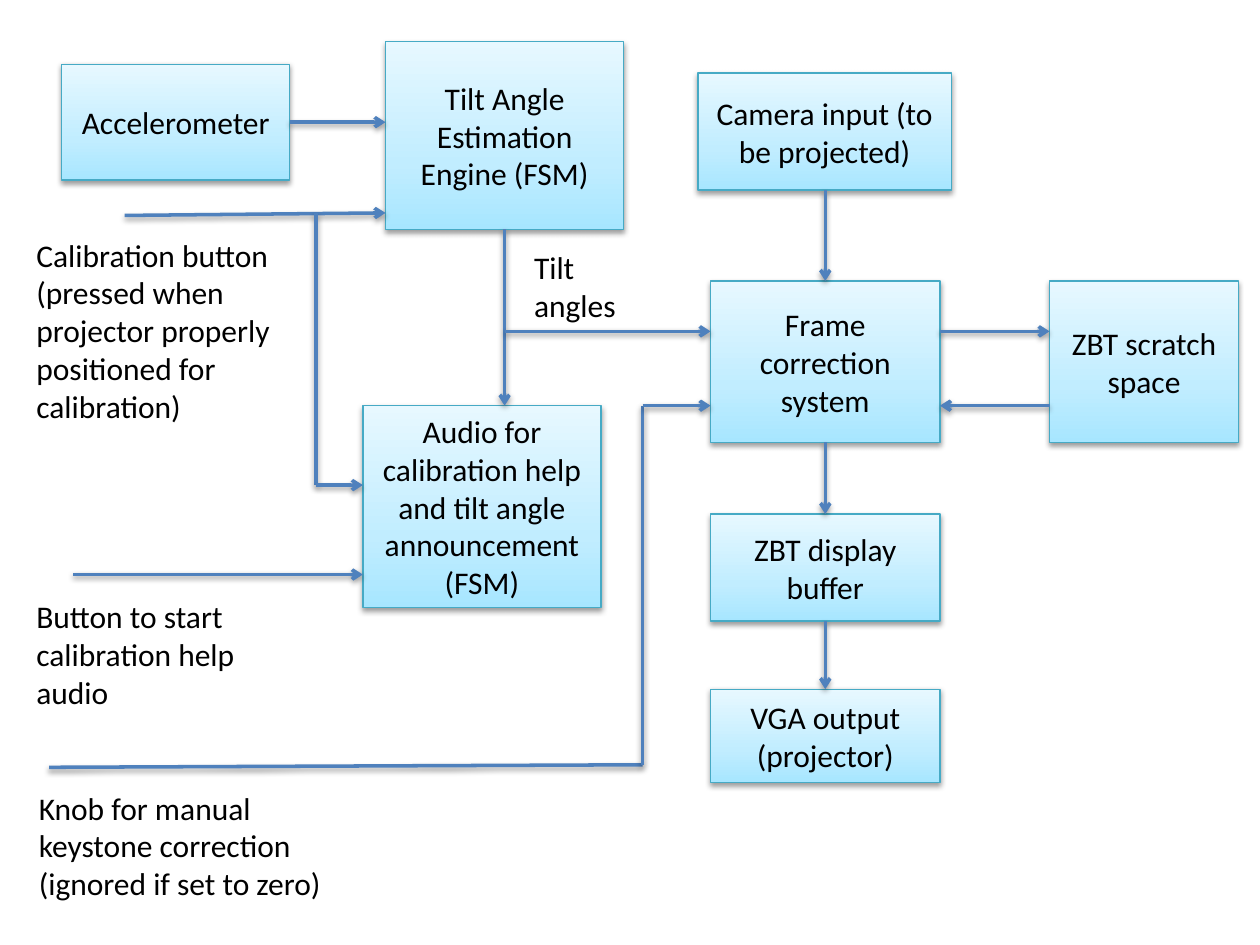
from dataclasses import dataclass

from lxml.etree import SubElement
from copy import deepcopy
from pptx import Presentation
from pptx.dml.color import RGBColor
from pptx.enum.shapes import MSO_CONNECTOR, MSO_SHAPE
from pptx.enum.text import MSO_ANCHOR, MSO_AUTO_SIZE, PP_ALIGN
from pptx.oxml.ns import qn
from pptx.util import Inches, Pt

GRADIENT = [(0, "A7E6FF"), (0.35, "C1EDFF"), (1, "E7F8FF")]


@dataclass(frozen=True)
class Block:
    text: str
    left: float
    top: float
    width: float
    height: float

    @property
    def right(self) -> float:
        return self.left + self.width

    @property
    def bottom(self) -> float:
        return self.top + self.height

    @property
    def center(self) -> float:
        return self.left + self.width / 2

    def frame(self) -> list:
        return [Inches(v) for v in (self.left, self.top, self.width, self.height)]


@dataclass(frozen=True)
class Wire:
    points: list[tuple[float, float]]
    arrow: bool = True


def color(value: str) -> RGBColor:
    return RGBColor.from_string(value)


def add_shadow(properties) -> None:
    effects = SubElement(properties, qn("a:effectLst"))
    shadow = SubElement(effects, qn("a:outerShdw"), blurRad="40000", dist="20000",
                        dir="5400000", rotWithShape="0")
    black = SubElement(shadow, qn("a:srgbClr"), val="000000")
    SubElement(black, qn("a:alpha"), val="38000")


def write(text_frame, text: str, alignment: PP_ALIGN) -> None:
    text_frame.word_wrap = True
    text_frame.text = text
    for paragraph in text_frame.paragraphs:
        paragraph.alignment = alignment
        for run in paragraph.runs:
            run.font.name = "Calibri"
            run.font.size = Pt(18)
            run.font.color.rgb = color("000000")


def draw_block(shapes, block: Block) -> None:
    box = shapes.add_shape(MSO_SHAPE.RECTANGLE, *block.frame())
    box.fill.gradient()
    box.fill.gradient_angle = 90
    stops = box._element.spPr.find(qn("a:gradFill")).find(qn("a:gsLst"))
    stops.append(deepcopy(stops[-1]))
    for stop, (position, shade) in zip(box.fill.gradient_stops, GRADIENT):
        stop.position = position
        stop.color.rgb = color(shade)
    box.line.color.rgb = color("46AAC5")
    box.line.width = Pt(0.75)
    add_shadow(box._element.spPr)
    box.text_frame.vertical_anchor = MSO_ANCHOR.MIDDLE
    write(box.text_frame, block.text, PP_ALIGN.CENTER)


def draw_label(shapes, label: Block) -> None:
    text_frame = shapes.add_textbox(*label.frame()).text_frame
    write(text_frame, label.text, PP_ALIGN.LEFT)
    text_frame.auto_size = MSO_AUTO_SIZE.SHAPE_TO_FIT_TEXT


def draw_wire(shapes, wire: Wire) -> None:
    for start, end in zip(wire.points, wire.points[1:]):
        segment = shapes.add_connector(
            MSO_CONNECTOR.STRAIGHT, *[Inches(v) for v in (*start, *end)])
        segment.line.color.rgb = color("4F81BD")
        segment.line.width = Pt(2)
        properties = segment._element.spPr
        if wire.arrow and end == wire.points[-1]:
            SubElement(properties.find(qn("a:ln")), qn("a:tailEnd"), type="arrow")
        add_shadow(properties)


accelerometer = Block("Accelerometer", 0.49, 0.51, 1.81, 0.92)
tilt_engine = Block("Tilt Angle Estimation Engine (FSM)", 3.06, 0.33, 1.89, 1.49)
audio = Block("Audio for calibration help and tilt angle announcement (FSM)",
              2.88, 3.22, 1.89, 1.6)
camera = Block("Camera input (to be projected)", 5.54, 0.58, 2.01, 0.93)
correction = Block("Frame correction system", 5.64, 2.23, 1.82, 1.28)
scratch = Block("ZBT scratch space", 8.33, 2.23, 1.5, 1.28)
display = Block("ZBT display buffer", 5.64, 4.08, 1.82, 0.85)
vga = Block("VGA output (projector)", 5.64, 5.47, 1.82, 0.74)
blocks = [accelerometer, tilt_engine, audio, camera, correction, scratch, display, vga]

labels = [
    Block("Calibration button\n(pressed when projector properly positioned for calibration)",
          0.19, 1.82, 2.29, 1.62),
    Block("Button to start calibration help audio", 0.19, 4.69, 1.9, 1.01),
    Block("Tilt angles", 4.14, 1.92, 0.97, 0.71),
    Block("Knob for manual keystone correction (ignored if set to zero)",
          0.21, 6.21, 2.67, 1.01),
]

upper, lower = 2.63, 3.22
calibration_x, tilt_x, knob_x = 2.51, tilt_engine.center, 5.1
video_chain = [camera, correction, display, vga]

wires = [
    Wire([(accelerometer.right, 0.97), (tilt_engine.left, 0.97)]),
    Wire([(0.99, 1.71), (tilt_engine.left, 1.69)]),
    Wire([(calibration_x, 1.69), (calibration_x, 3.85), (audio.left, 3.85)]),
    Wire([(0.58, 4.56), (audio.left, 4.56)]),
    Wire([(tilt_x, tilt_engine.bottom), (tilt_x, audio.top)]),
    Wire([(tilt_x, upper), (correction.left, upper)]),
    Wire([(correction.right, upper), (scratch.left, upper)]),
    Wire([(scratch.left, lower), (correction.right, lower)]),
    Wire([(0.39, 6.09), (knob_x, 6.07), (knob_x, lower), (correction.left, lower)]),
] + [
    Wire([(correction.center, source.bottom), (correction.center, target.top)])
    for source, target in zip(video_chain, video_chain[1:])
]

deck = Presentation()
deck.slide_width = Inches(10)
deck.slide_height = Inches(7.5)
canvas = deck.slides.add_slide(deck.slide_layouts[6]).shapes
for block in blocks:
    draw_block(canvas, block)
for wire in wires:
    draw_wire(canvas, wire)
for label in labels:
    draw_label(canvas, label)
deck.save("out.pptx")
